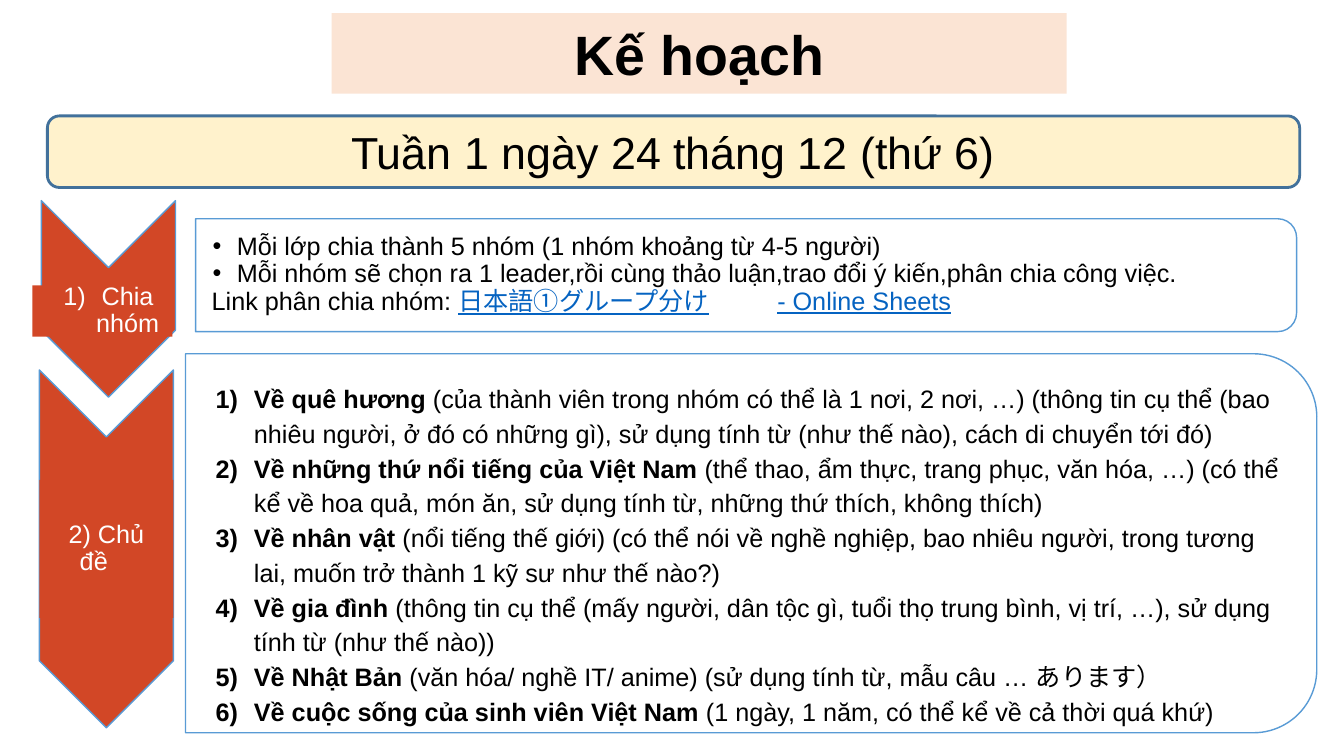
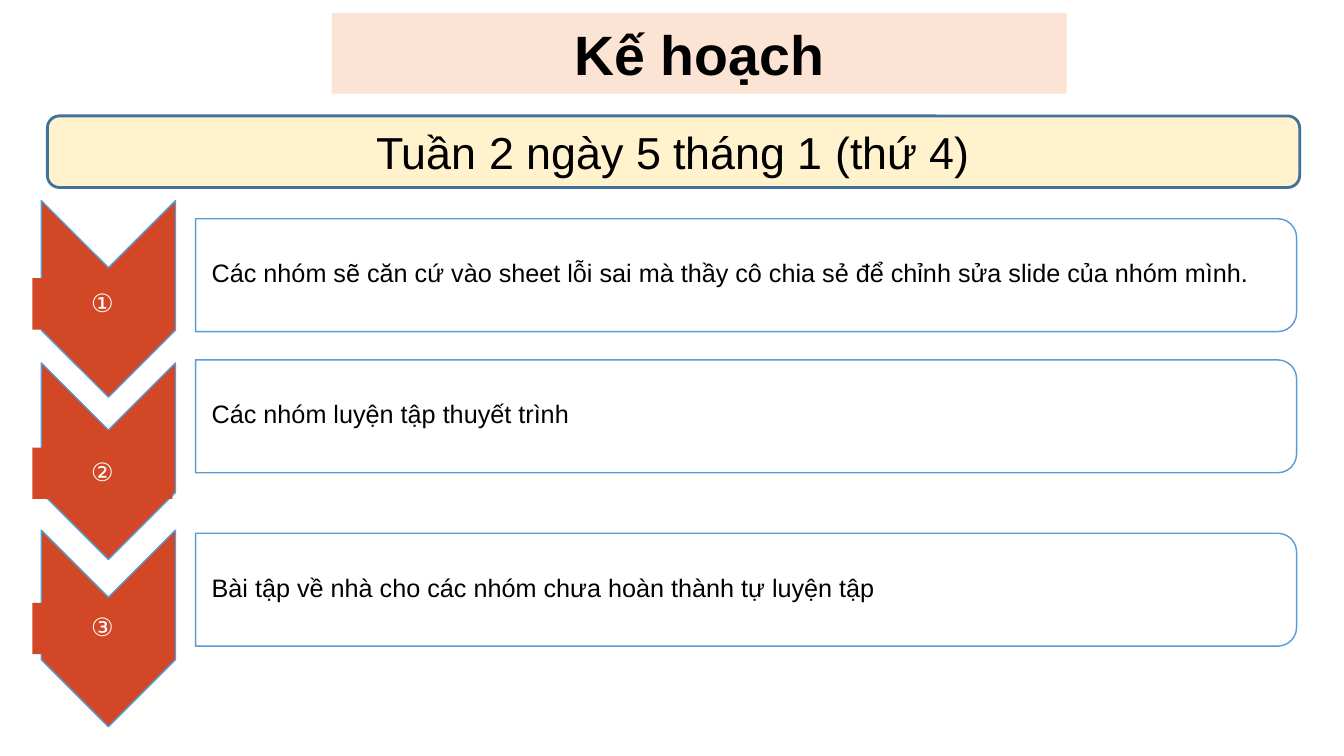
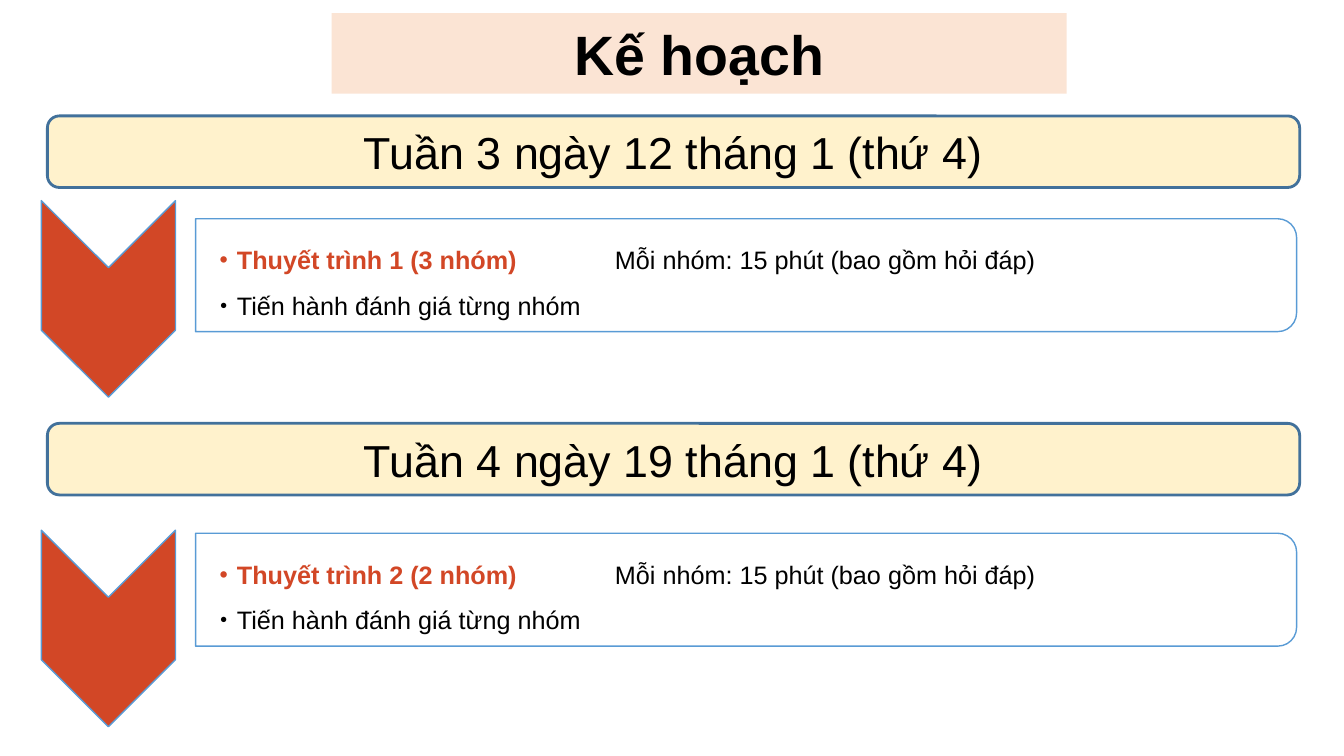
from lxml.etree import SubElement
from pptx import Presentation
from pptx.dml.color import RGBColor
from pptx.enum.shapes import MSO_SHAPE as Preset
from pptx.enum.text import MSO_ANCHOR as Anchor, PP_ALIGN as Align
from pptx.oxml.ns import qn
from pptx.util import Inches, Pt

BLACK, WHITE = "000000", "FFFFFF"
RED, PEACH, CREAM = "D24726", "FBE4D4", "FFF2CC"
BLUE, DARK_BLUE, LINK_BLUE = "599BD5", "42719B", "0563C1"

# marker: left margin, first-line indent, bullet element, its attributes
MARKERS = {
    "•": (0.25, -0.24, "a:buChar", {"char": "•"}),
    "1)": (0.5, -0.38, "a:buAutoNum", {"type": "arabicParenR"}),
}
STANDARD_MARGINS = (0.1, 0.05, 0.1, 0.05)
LABEL_MARGINS = (0.01, 0.01, 0.01, 0.01)
PANEL_MARGINS = (0.16, 0.01, 0.01, 0.01)


def add_box(slide, preset, box, fill, line=None, line_width=1, turned=False):
    """Add a shape that covers box; a turned one is rotated by 90 degrees about its centre."""
    left, top, width, height = box
    if turned:
        left, top = left + (width - height) / 2, top + (height - width) / 2
        width, height = height, width
    shape = slide.shapes.add_shape(
        preset, Inches(left), Inches(top), Inches(width), Inches(height))
    shape.rotation = 90 if turned else 0
    shape.shadow.inherit = False
    shape.fill.solid()
    shape.fill.fore_color.rgb = RGBColor.from_string(fill)
    if line:
        shape.line.color.rgb = RGBColor.from_string(line)
        shape.line.width = Pt(line_width)
    else:
        shape.line.fill.background()
    return shape


def write(shape, paragraphs, size=18, colour=BLACK, bold=False, align=Align.LEFT,
          anchor=Anchor.MIDDLE, margins=STANDARD_MARGINS, spacing=1.0, tab=None):
    """Fill a shape with paragraphs, each a marker and its runs of (text, style)."""
    frame = shape.text_frame
    frame.word_wrap = True
    frame.vertical_anchor = anchor
    (frame.margin_left, frame.margin_top,
     frame.margin_right, frame.margin_bottom) = [Inches(margin) for margin in margins]
    for index, (marker, runs) in enumerate(paragraphs):
        paragraph = frame.add_paragraph() if index else frame.paragraphs[0]
        paragraph.alignment = align
        paragraph.line_spacing = spacing
        properties = paragraph._p.get_or_add_pPr()
        if marker:
            margin, indent, tag, attributes = MARKERS[marker]
            properties.set("marL", str(Inches(margin)))
            properties.set("indent", str(Inches(indent)))
            bullet_colour = SubElement(properties, qn("a:buClr"))
            SubElement(bullet_colour, qn("a:srgbClr"), val=colour)
            SubElement(properties, qn("a:buFont"), typeface="Arial")
            SubElement(properties, qn(tag), attributes)
        if tab:
            tabs = SubElement(properties, qn("a:tabLst"))
            SubElement(tabs, qn("a:tab"), pos=str(Inches(tab)), algn="l")
        paragraph.font.name = "Arial"
        paragraph.font.size = Pt(size)
        paragraph.font.bold = bold
        paragraph.font.color.rgb = RGBColor.from_string(colour)
        for text, style in runs:
            run = paragraph.add_run()
            run.text = text
            if "colour" in style:
                run.font.color.rgb = RGBColor.from_string(style["colour"])
            if "bold" in style:
                run.font.bold = style["bold"]
            if "underline" in style:
                run.font.underline = style["underline"]


group_split = [
    ("•", [("Mỗi lớp chia thành 5 nhóm (1 nhóm khoảng từ 4-5 người)", {})]),
    ("•", [("Mỗi nhóm sẽ chọn ra 1 leader,rồi cùng thảo luận,trao đổi ý kiến,"
            "phân chia công việc.", {})]),
    (None, [("Link phân chia nhóm: ", {}),
            ("日本語①グループ分け\t- Online Sheets",
             {"colour": LINK_BLUE, "underline": True})]),
]
topics = [
    ("Về quê hương ", "(của thành viên trong nhóm có thể là 1 nơi, 2 nơi, …) "
     "(thông tin cụ thể (bao nhiêu người, ở đó có những gì), sử dụng tính từ "
     "(như thế nào), cách di chuyển tới đó)"),
    ("Về những thứ nổi tiếng của Việt Nam", " (thể thao, ẩm thực, trang phục, văn hóa, …) "
     "(có thể kể về hoa quả, món ăn, sử dụng tính từ, những thứ thích, không thích)"),
    ("Về nhân vật", " (nổi tiếng thế giới) (có thể nói về nghề nghiệp, bao nhiêu người, "
     "trong tương lai, muốn trở thành 1 kỹ sư như thế nào?)"),
    ("Về gia đình ", "(thông tin cụ thể (mấy người, dân tộc gì, tuổi thọ trung bình, "
     "vị trí, …), sử dụng tính từ (như thế nào))"),
    ("Về Nhật Bản ", "(văn hóa/ nghề IT/ anime) (sử dụng tính từ, mẫu câu … あります）"),
    ("Về cuộc sống của sinh viên Việt Nam ",
     "(1 ngày, 1 năm, có thể kể về cả thời quá khứ)"),
]
practice = [
    [(None, [(text, {})])] for text in (
        "Các nhóm sẽ căn cứ vào sheet lỗi sai mà thầy cô chia sẻ để chỉnh sửa "
        "slide của nhóm mình.",
        "Các nhóm luyện tập thuyết trình",
        "Bài tập về nhà cho các nhóm chưa hoàn thành tự luyện tập")
]
talks = [
    [(None, [(f"・Thuyết trình {heading}", {"colour": RED, "bold": True}),
             ("\tMỗi nhóm: 15 phút (bao gồm hỏi đáp)", {})]),
     (None, [("・Tiến hành đánh giá từng nhóm", {})])]
    for heading in ("1 (3 nhóm)", "2 (2 nhóm)")
]

# bands: top, text; steps: chevron top, panel top, label top, label marker, label, paragraphs
plan = [
    {"bands": [(1.15, "Tuần 1 ngày 24 tháng 12 (thứ 6)")],
     "steps": [(1.99, 2.17, 2.83, "1)", "Chia nhóm", group_split)],
     "spacing": 0.9, "tab": 5.61},
    {"bands": [(1.15, "Tuần 2 ngày 5 tháng 1 (thứ 4)")],
     "steps": [(1.99, 2.17, 2.76, None, "①", practice[0]),
               (3.6, 3.57, 4.44, None, "②", practice[1]),
               (5.26, 5.29, 5.98, None, "③", practice[2])],
     "spacing": 0.9, "tab": None},
    {"bands": [(1.15, "Tuần 3 ngày 12 tháng 1 (thứ 4)"),
               (4.2, "Tuần 4 ngày 19 tháng 1 (thứ 4)")],
     "steps": [(1.99, 2.17, None, None, None, talks[0]),
               (5.26, 5.29, None, None, None, talks[1])],
     "spacing": 1.5, "tab": 4},
]

presentation = Presentation()
presentation.slide_width = Inches(13.33)
presentation.slide_height = Inches(7.5)

for week in plan:
    slide = presentation.slides.add_slide(presentation.slide_layouts[6])
    title = add_box(slide, Preset.RECTANGLE, (3.29, 0.13, 7.29, 0.8), PEACH)
    write(title, [(None, [("Kế hoạch", {})])], size=39.6, bold=True, align=Align.CENTER)
    for top, date in week["bands"]:
        band = add_box(slide, Preset.ROUNDED_RECTANGLE, (0.47, top, 12.42, 0.71),
                       CREAM, DARK_BLUE, 2)
        write(band, [(None, [(date, {})])], size=32, align=Align.CENTER)
    for chevron_top, panel_top, label_top, marker, label, paragraphs in week["steps"]:
        add_box(slide, Preset.CHEVRON, (0.41, chevron_top, 1.33, 1.95), RED, BLUE, turned=True)
        if label:
            label_box = add_box(slide, Preset.RECTANGLE, (0.32, label_top, 1.39, 0.51), RED)
            write(label_box, [(marker, [(label, {})])], colour=WHITE, align=Align.CENTER,
                  margins=LABEL_MARGINS, spacing=0.9)
        add_box(slide, Preset.ROUND_2_SAME_RECTANGLE, (1.94, panel_top, 10.92, 1.12),
                WHITE, BLUE, turned=True)
        panel_text = slide.shapes.add_textbox(
            Inches(1.94), Inches(panel_top + 0.05), Inches(10.86), Inches(1.01))
        write(panel_text, paragraphs, margins=PANEL_MARGINS,
              spacing=week["spacing"], tab=week["tab"])

# The first week also has a tall step with the list of topics
slide = presentation.slides[0]
add_box(slide, Preset.CHEVRON, (0.39, 3.67, 1.33, 3.55), RED, BLUE, turned=True)
topic_label = add_box(slide, Preset.RECTANGLE, (0.39, 4.76, 1.33, 1.37), RED)
write(topic_label, [(None, [("2) Chủ đề　", {})])], colour=WHITE, align=Align.CENTER,
      margins=LABEL_MARGINS, spacing=0.9)
topic_panel = add_box(slide, Preset.ROUND_2_SAME_RECTANGLE, (1.84, 3.51, 11.22, 3.76),
                      WHITE, BLUE, turned=True)
panel_fill = topic_panel.element.spPr.find(qn("a:solidFill"))
SubElement(panel_fill[0], qn("a:alpha"), val="89000")
topic_text = slide.shapes.add_textbox(Inches(1.92), Inches(3.71), Inches(10.92), Inches(3.56))
write(topic_text,
      [("1)", [(topic, {"bold": True}), (details, {})]) for topic, details in topics],
      anchor=Anchor.TOP, spacing=1.15)

presentation.save("out.pptx")
